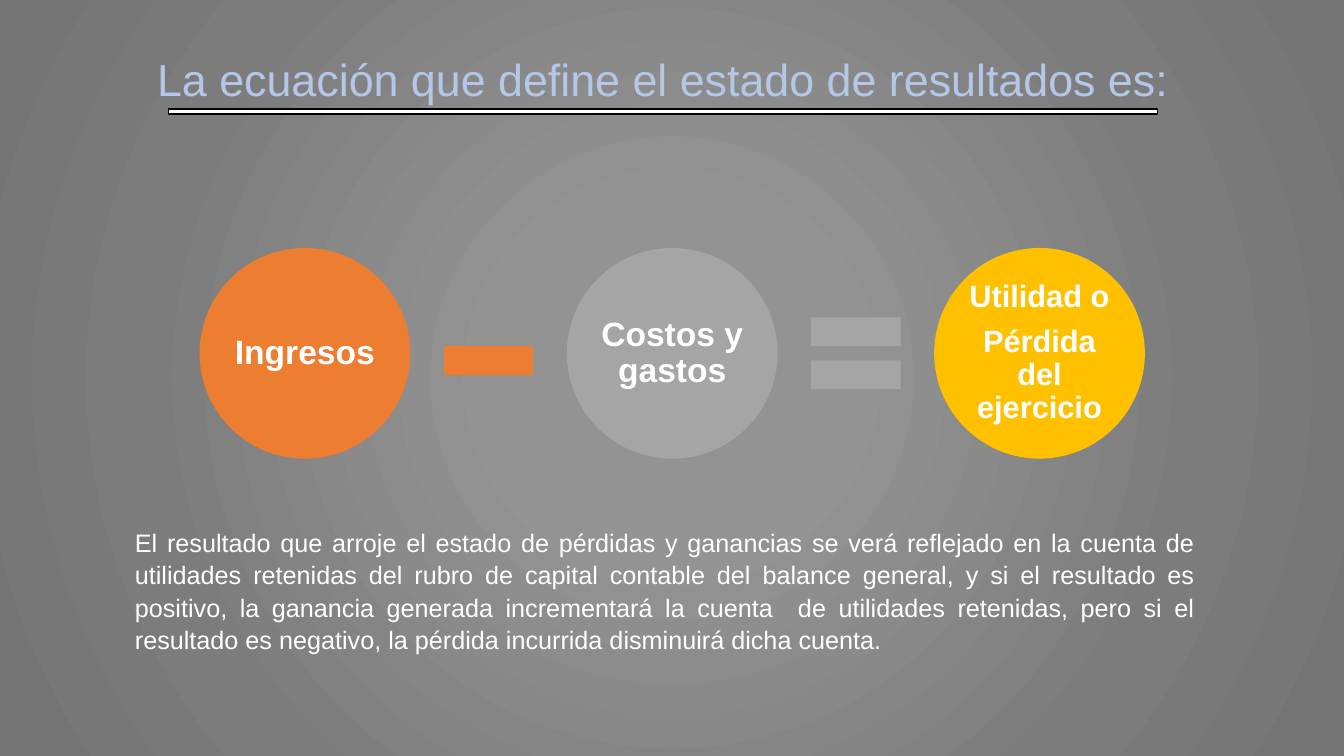
"""Builds a slide that shows the income statement equation."""
from lxml.etree import SubElement
from pptx import Presentation
from pptx.dml.color import RGBColor
from pptx.enum.shapes import MSO_SHAPE
from pptx.enum.text import MSO_ANCHOR, MSO_AUTO_SIZE, PP_ALIGN
from pptx.oxml.ns import qn
from pptx.util import Inches, Pt

WIDE, HIGH = Inches(13.333), Inches(7.5)
COLORS = {
    "white": "FFFFFF", "black": "000000", "title": "B4C7E7",
    "orange": "ED7D31", "gray": "A5A5A5", "gold": "FFC000",
    "center": "939393", "middle": "7C7C7C", "edge": "747474",
}
STOPS = [(0, "center"), (23, "center"), (69, "middle"), (97, "edge")]
TERMS = [
    ("Ingresos", 24, "orange"),
    ("Costos y gastos", 24, "gray"),
    ("Utilidad o\nPérdida del ejercicio", 22, "gold"),
]
SIGNS = [
    (MSO_SHAPE.MATH_MINUS, "orange", 39.6),
    (MSO_SHAPE.MATH_EQUAL, "gray", 38.67),
]
STEP = 27.33
TITLE = "La ecuación que define el estado de resultados es:"
BODY = (
    "El resultado que arroje el estado de pérdidas y ganancias se verá "
    "reflejado en la cuenta de utilidades retenidas del rubro de capital "
    "contable del balance general, y si el resultado es positivo, la "
    "ganancia generada incrementará la cuenta  de utilidades retenidas, "
    "pero si el resultado es negativo, la pérdida incurrida disminuirá "
    "dicha cuenta."
)


def color(name):
    """Return the named colour."""
    return RGBColor.from_string(COLORS[name])


def place(left, top, width, height):
    """Turn percentages of the slide into lengths."""
    return (int(WIDE * left / 100), int(HIGH * top / 100),
            int(WIDE * width / 100), int(HIGH * height / 100))


def paint(slide):
    """Give the slide a circular gradient background."""
    slide.background.fill.gradient()
    grad = slide.background._cSld.find(".//" + qn("a:gradFill"))
    for child in list(grad):
        grad.remove(child)
    stops = SubElement(grad, qn("a:gsLst"))
    for share, name in STOPS:
        stop = SubElement(stops, qn("a:gs"), pos=str(share * 1000))
        SubElement(stop, qn("a:srgbClr"), val=COLORS[name])
    circle = SubElement(grad, qn("a:path"), path="circle")
    sides = dict.fromkeys("ltrb", "50000")
    SubElement(circle, qn("a:fillToRect"), **sides)


def write(frame, text, size, name, align, bold=False, line=None, after=0):
    """Fill a text frame and format its paragraphs."""
    frame.text = text
    for para in frame.paragraphs:
        para.alignment = align
        para.line_spacing = line
        para.space_after = Pt(after)
        for run in para.runs:
            run.font.name = "Arial"
            run.font.size = Pt(size)
            run.font.bold = bold
            run.font.color.rgb = color(name)


def shape(slide, kind, area, fill):
    """Add a flat shape without outline."""
    item = slide.shapes.add_shape(kind, *place(*area))
    item.shadow.inherit = False
    item.fill.solid()
    item.fill.fore_color.rgb = color(fill)
    item.line.fill.background()
    return item


def term(slide, index, text, size, fill):
    """Add a circle with one term of the equation."""
    area = (14.85 + index * STEP, 32.8, 15.68, 27.87)
    frame = shape(slide, MSO_SHAPE.OVAL, area, fill).text_frame
    frame.word_wrap = True
    frame.vertical_anchor = MSO_ANCHOR.MIDDLE
    frame.margin_left = frame.margin_right = Inches(0.03)
    frame.margin_top = frame.margin_bottom = Inches(0.03)
    write(frame, text, size, "white", PP_ALIGN.CENTER, True, 0.9, size * 0.35)


def label(slide, area, wrap, *style, **gaps):
    """Add a justified text box that grows with its text."""
    frame = slide.shapes.add_textbox(*place(*area)).text_frame
    frame.word_wrap = wrap
    frame.auto_size = MSO_AUTO_SIZE.SHAPE_TO_FIT_TEXT
    write(frame, *style, PP_ALIGN.JUSTIFY, **gaps)


def main():
    """Build and save the slide."""
    deck = Presentation()
    deck.slide_width, deck.slide_height = WIDE, HIGH
    slide = deck.slides.add_slide(deck.slide_layouts[6])
    paint(slide)
    for index, (text, size, fill) in enumerate(TERMS):
        term(slide, index, text, size, fill)
    for index, (kind, fill, top) in enumerate(SIGNS):
        shape(slide, kind, (31.8 + index * STEP, top, 9.08, 16.13), fill)
    label(slide, (9.3, 68.8, 80.33, 18.67), True, BODY, 18, "white",
          line=1.07, after=8)
    label(slide, (10.95, 6.13, 77.33, 8.53), False, TITLE, 32, "title")
    rule = shape(slide, MSO_SHAPE.RECTANGLE, (12.53, 14.4, 73.6, 0.67), "white")
    rule.line.color.rgb = color("black")
    rule.line.width = Pt(1)
    deck.save("out.pptx")


if __name__ == "__main__":
    main()
